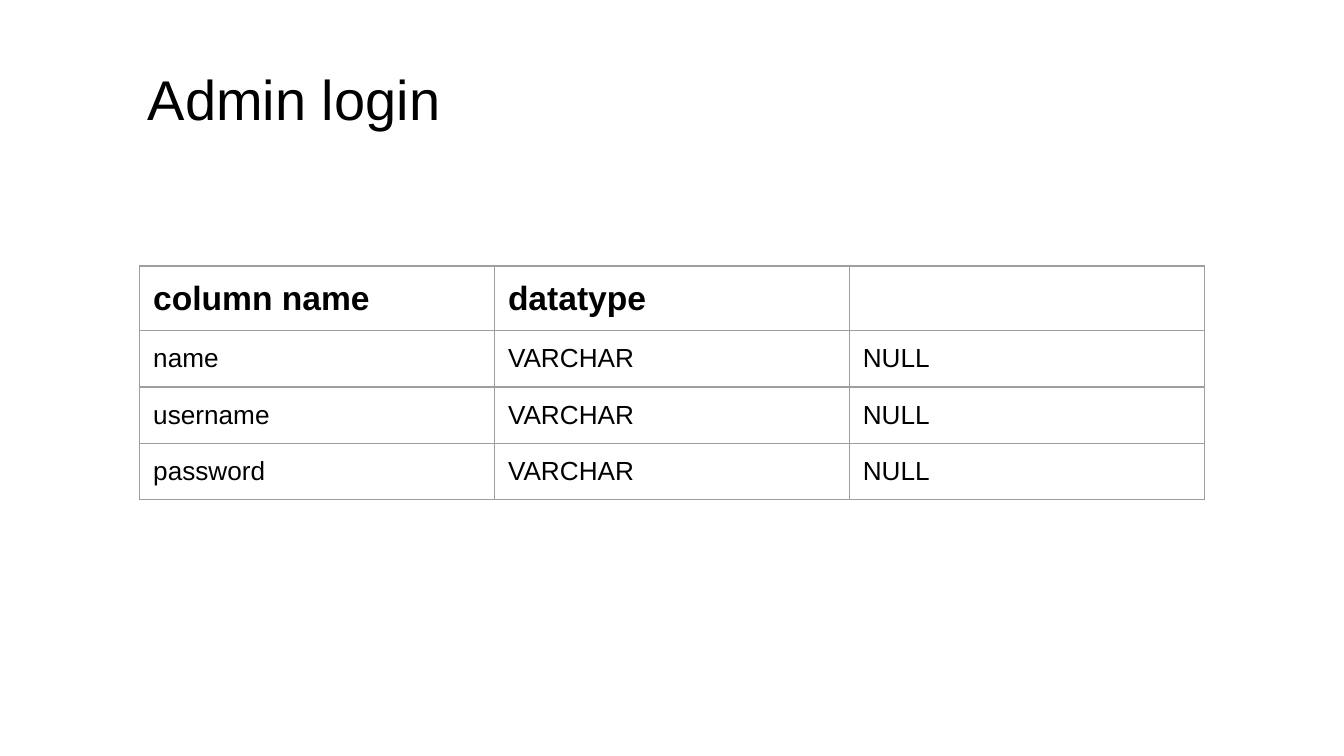
from lxml import etree
from pptx import Presentation
from pptx.dml.color import RGBColor
from pptx.enum.text import MSO_ANCHOR, PP_ALIGN
from pptx.oxml.ns import qn
from pptx.util import Inches, Pt

TOP, LEFT = MSO_ANCHOR.TOP, PP_ALIGN.LEFT
BLACK = RGBColor(0x00, 0x00, 0x00)
WHITE = RGBColor(0xFF, 0xFF, 0xFF)
GRAY = RGBColor(0x9E, 0x9E, 0x9E)
FONT = "Arial"
PAD = Inches(0.1)
WIDTH = Inches(10)
HEIGHT = WIDTH * 9 // 16

ROWS = [
    ("column name", "datatype", ""),
    ("name", "VARCHAR", "NULL"),
    ("username", "VARCHAR", "NULL"),
    ("password", "VARCHAR", "NULL"),
]


def set_text(frame, text, size, bold=False):
    frame.text = text
    para = frame.paragraphs[0]
    para.alignment = LEFT
    for run in para.runs:
        font = run.font
        font.name, font.size, font.bold = FONT, Pt(size), bold
        font.color.rgb = BLACK
    if not text:
        end = etree.SubElement(para._p, qn("a:endParaRPr"), sz=str(size * 100))
        etree.SubElement(end, qn("a:latin"), typeface=FONT)


def set_pad(item):
    item.margin_left = item.margin_right = PAD
    item.margin_top = item.margin_bottom = PAD
    item.vertical_anchor = TOP


def add_edges(cell):
    """Draw a thin gray line on all four sides of a cell."""
    props = cell._tc.get_or_add_tcPr()
    for spot, side in enumerate(("lnL", "lnR", "lnT", "lnB")):
        line = etree.Element(qn("a:" + side), w=str(Pt(0.75)))
        fill = etree.SubElement(line, qn("a:solidFill"))
        etree.SubElement(fill, qn("a:srgbClr"), val=str(GRAY))
        props.insert(spot, line)


def add_title(slide, text, left, top, width, height):
    title = slide.shapes.title
    title.left, title.top = left, top
    title.width, title.height = width, height
    set_text(title.text_frame, text, 30)
    set_pad(title.text_frame)


def add_grid(slide, rows, left, top, width, height):
    """Place a table with even columns and rows and a bold first row."""
    count = len(rows[0])
    table = slide.shapes.add_table(
        len(rows), count, left, top, width, height).table
    table.horz_banding = False
    for i, row in enumerate(rows):
        head = i == 0
        for j, text in enumerate(row):
            cell = table.cell(i, j)
            set_text(cell.text_frame, text, 18 if head else 14, head)
            set_pad(cell)
            cell.fill.solid()
            cell.fill.fore_color.rgb = WHITE
            add_edges(cell)


def main():
    deck = Presentation()
    deck.slide_width, deck.slide_height = WIDTH, HEIGHT
    slide = deck.slides.add_slide(deck.slide_layouts[5])
    add_title(slide, "Admin login",
              Inches(1), Inches(0.38), Inches(8), Inches(1.07))
    add_grid(slide, ROWS, Inches(1.04), Inches(1.98),
             3 * Inches(2.64), len(ROWS) * Inches(0.42))
    deck.save("out.pptx")


if __name__ == "__main__":
    main()
